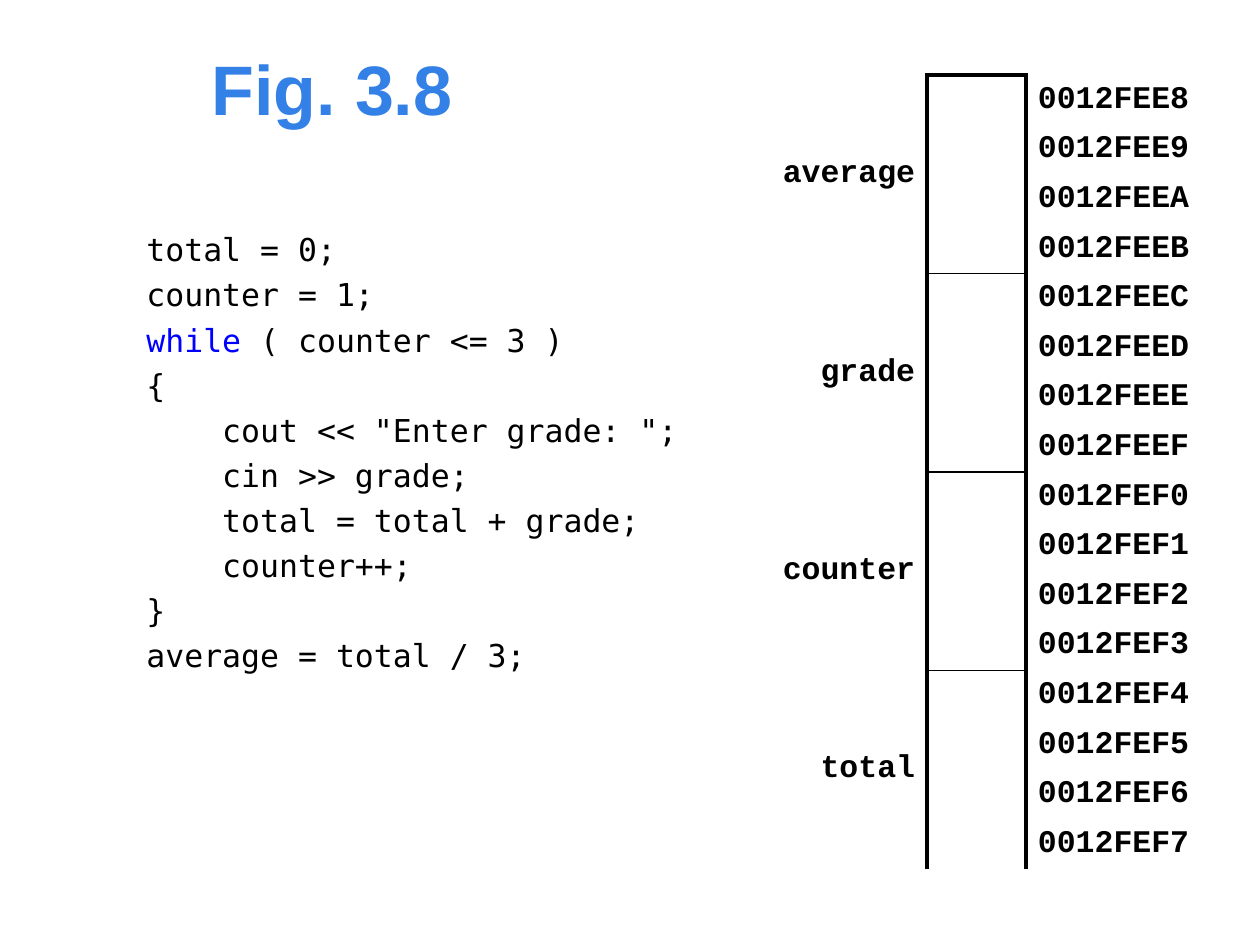
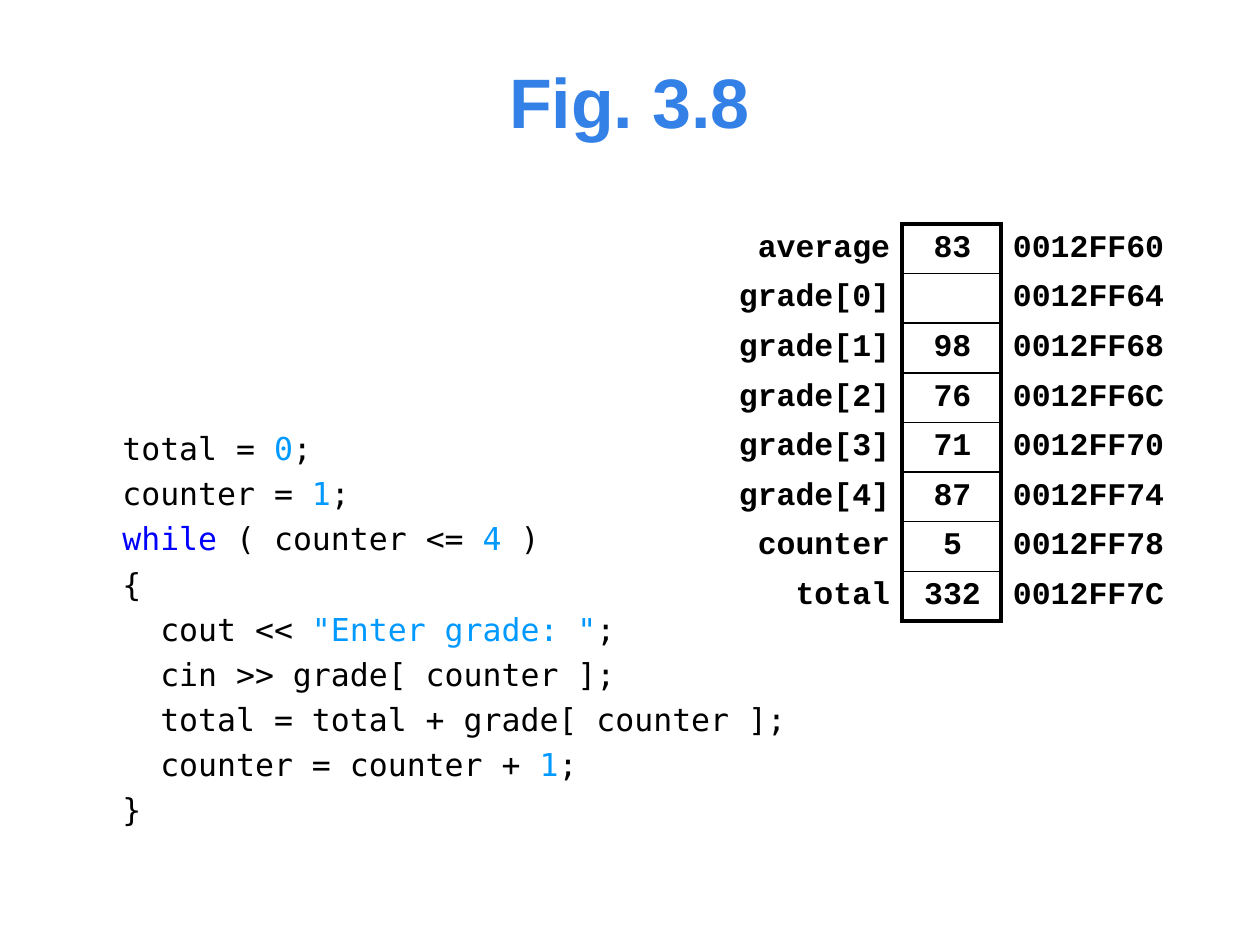
from lxml.etree import SubElement
from pptx import Presentation
from pptx.dml.color import RGBColor
from pptx.enum.text import MSO_ANCHOR, PP_ALIGN
from pptx.oxml.ns import qn
from pptx.util import Emu, Pt

BLACK = RGBColor(0x00, 0x00, 0x00)
TITLE_BLUE = RGBColor(0x33, 0x80, 0xE6)
KEYWORD = RGBColor(0x00, 0x00, 0xFF)
LITERAL = RGBColor(0x00, 0x99, 0xFF)
NO_STYLE = "{2D5ABB26-0587-4C30-8999-92F81FD0307C}"
THICK, THIN = Pt(2.25), Pt(1)
ALIGNS = [PP_ALIGN.RIGHT, PP_ALIGN.CENTER, PP_ALIGN.LEFT]

# Code lines are lists of runs: plain text, or (text, colour).
# span is the number of addresses that one variable takes up.
SLIDES = [
    {
        "title_box": (34, 26, 596, 123),
        "code_box": (134, 224, 571, 471),
        "code": [
            ["total = 0;"],
            ["counter = 1;"],
            [("while", KEYWORD), " ( counter <= 3 )"],
            ["{"],
            ['    cout << "Enter grade: ";'],
            ["    cin >> grade;"],
            ["    total = total + grade;"],
            ["    counter++;"],
            ["}"],
            ["average = total / 3;"],
        ],
        "memory_box": (753, 75, 471, 794),
        "columns": (174, 99, 198),
        "variables": [("average", ""), ("grade", ""), ("counter", ""), ("total", "")],
        "span": 4,
        "first_address": 0x0012FEE8,
        "step": 1,
    },
    {
        "title_box": (34, 26, 1191, 149),
        "code_box": (110, 423, 694, 422),
        "code": [
            ["total = ", ("0", LITERAL), ";"],
            ["counter = ", ("1", LITERAL), ";"],
            [("while", KEYWORD), " ( counter <= ", ("4", LITERAL), " )"],
            ["{"],
            ["  cout << ", ('"Enter grade: "', LITERAL), ";"],
            ["  cin >> grade[ counter ];"],
            ["  total = total + grade[ counter ];"],
            ["  counter = counter + ", ("1", LITERAL), ";"],
            ["}"],
        ],
        "memory_box": (704, 224, 471, 397),
        "columns": (198, 99, 174),
        "variables": [
            ("average", "83"), ("grade[0]", ""), ("grade[1]", "98"),
            ("grade[2]", "76"), ("grade[3]", "71"), ("grade[4]", "87"),
            ("counter", "5"), ("total", "332"),
        ],
        "span": 1,
        "first_address": 0x0012FF60,
        "step": 4,
    },
]


def px(n):
    return Emu(round(n * 914400 / 126))


def set_borders(cell, **widths):
    """Draw black borders; sides are L, R, T, B and must come in that order."""
    tc_pr = cell._tc.get_or_add_tcPr()
    for side, width in widths.items():
        ln = SubElement(tc_pr, qn(f"a:ln{side}"), w=str(width))
        fill = SubElement(ln, qn("a:solidFill"))
        SubElement(fill, qn("a:srgbClr"), val=str(BLACK))


prs = Presentation()
prs.slide_width, prs.slide_height = px(1260), px(945)

for content in SLIDES:
    s = prs.slides.add_slide(prs.slide_layouts[6])

    # Title
    tf = s.shapes.add_textbox(*map(px, content["title_box"])).text_frame
    tf.word_wrap = True
    tf.vertical_anchor = MSO_ANCHOR.MIDDLE
    p = tf.paragraphs[0]
    p.text = "Fig. 3.8"
    p.alignment = PP_ALIGN.CENTER
    p.font.name, p.font.size, p.font.bold = "Arial", Pt(40), True
    p.font.color.rgb = TITLE_BLUE

    # Code
    tf = s.shapes.add_textbox(*map(px, content["code_box"])).text_frame
    tf.word_wrap = True
    for i, line in enumerate(content["code"]):
        p = tf.add_paragraph() if i else tf.paragraphs[0]
        p.space_before = Pt(4.2 if i else 0)
        p.font.name, p.font.size = "DejaVu Sans Mono", Pt(18)
        for run in line:
            text, color = (run, BLACK) if isinstance(run, str) else run
            r = p.add_run()
            r.text = text
            r.font.color.rgb = color

    # Memory table: variable, value, address
    span = content["span"]
    n_rows = span * len(content["variables"])
    table = s.shapes.add_table(n_rows, 3, *map(px, content["memory_box"])).table
    table.first_row = table.horz_banding = False
    table._tbl.tblPr.find(qn("a:tableStyleId")).text = NO_STYLE
    for column, width in zip(table.columns, content["columns"]):
        column.width = px(width)

    for row in range(n_rows):
        starts, ends = row % span == 0, row % span == span - 1
        name, value = content["variables"][row // span] if starts else ("", "")
        address = f"{content['first_address'] + row * content['step']:08X}"
        label_cell, value_cell, address_cell = (table.cell(row, c) for c in range(3))

        set_borders(label_cell, R=THICK)
        edges = {"L": THICK, "R": THICK}
        if starts:
            edges["T"] = THIN if row else THICK
        if ends:
            edges["B"] = THIN if row < n_rows - 1 else THICK
        set_borders(value_cell, **edges)
        set_borders(address_cell, L=THICK)

        cells = [label_cell, value_cell, address_cell]
        for cell, text, align in zip(cells, [name, value, address], ALIGNS):
            cell.fill.background()
            cell.vertical_anchor = MSO_ANCHOR.MIDDLE
            cell.margin_left = px(12)
            cell.margin_right = px(12 if cell is label_cell else 10)
            cell.margin_top = cell.margin_bottom = px(5)
            p = cell.text_frame.paragraphs[0]
            p.text = text
            p.alignment = align
            p.font.name, p.font.size, p.font.bold = "Courier New", Pt(18), True
            p.font.color.rgb = BLACK

    if span > 1:
        for row in range(0, n_rows, span):
            for c in range(2):
                table.cell(row, c).merge(table.cell(row + span - 1, c))

prs.save("out.pptx")
